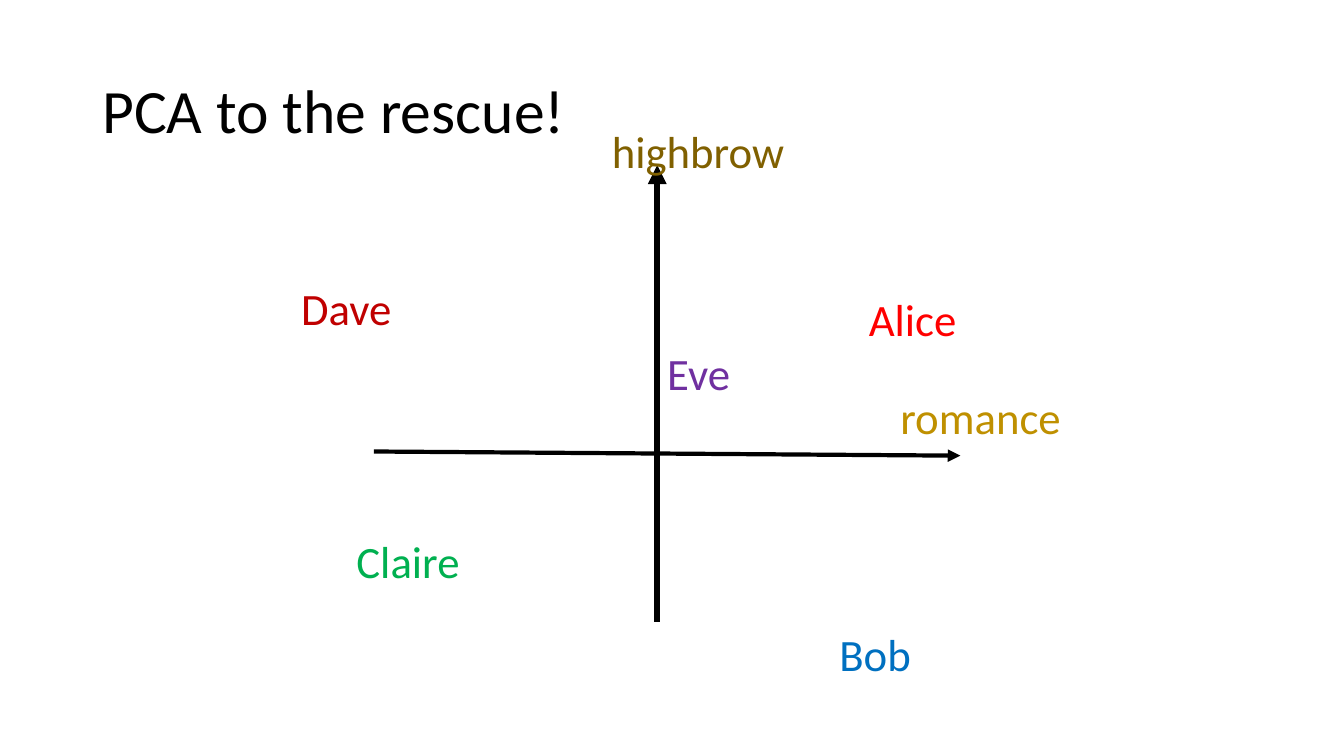
from typing import NamedTuple

from pptx import Presentation
from pptx.dml.color import RGBColor
from pptx.enum.shapes import MSO_CONNECTOR
from pptx.enum.text import MSO_ANCHOR, MSO_AUTO_SIZE
from pptx.oxml.ns import qn
from pptx.slide import Slide
from pptx.util import Pt
from lxml.etree import SubElement

FONT = "Calibri"
LABEL_SIZE = 32
LABEL_HEIGHT = 46

BLACK = RGBColor(0x00, 0x00, 0x00)
BROWN = RGBColor(0x80, 0x60, 0x00)
GOLD = RGBColor(0xBF, 0x90, 0x00)
RED = RGBColor(0xFF, 0x00, 0x00)
PURPLE = RGBColor(0x70, 0x30, 0xA0)
DARK_RED = RGBColor(0xC0, 0x00, 0x00)
GREEN = RGBColor(0x00, 0xB0, 0x50)
BLUE = RGBColor(0x00, 0x70, 0xC0)


class Axis(NamedTuple):
    start: tuple[float, float]
    end: tuple[float, float]
    weight: float


class Label(NamedTuple):
    text: str
    left: float
    top: float
    width: float
    color: RGBColor


AXES = [
    Axis((469.5, 444), (469.5, 118), 4.5),
    Axis((267, 322.5), (686, 325.5), 3),
]

LABELS = [
    Label("highbrow", 430, 85, 139, BROWN),
    Label("romance", 636, 275, 130, GOLD),
    Label("Alice", 613.5, 205, 78, RED),
    Label("Eve", 469.5, 243.5, 60, PURPLE),
    Label("Dave", 208, 197, 80, DARK_RED),
    Label("Claire", 247.5, 377.5, 89, GREEN),
    Label("Bob", 592.5, 444, 66, BLUE),
]


def add_title(slide: Slide, text: str) -> None:
    frame = slide.shapes.add_textbox(Pt(66), Pt(29), Pt(828), Pt(104)).text_frame
    frame.word_wrap = True
    frame.vertical_anchor = MSO_ANCHOR.MIDDLE
    title = frame.paragraphs[0]
    title.text = text
    title.line_spacing = 0.9
    title.font.name = FONT
    title.font.size = Pt(44)
    title.font.color.rgb = BLACK


def add_axis(slide: Slide, axis: Axis) -> None:
    arrow = slide.shapes.add_connector(
        MSO_CONNECTOR.STRAIGHT, *map(Pt, axis.start + axis.end)
    )
    arrow.line.color.rgb = BLACK
    arrow.line.width = Pt(axis.weight)
    SubElement(arrow.line._get_or_add_ln(), qn("a:tailEnd"), type="triangle")
    SubElement(arrow._element.spPr, qn("a:effectLst"))


def add_label(slide: Slide, label: Label) -> None:
    frame = slide.shapes.add_textbox(
        Pt(label.left), Pt(label.top), Pt(label.width), Pt(LABEL_HEIGHT)
    ).text_frame
    frame.word_wrap = False
    frame.auto_size = MSO_AUTO_SIZE.SHAPE_TO_FIT_TEXT
    word = frame.paragraphs[0]
    word.text = label.text
    word.font.name = FONT
    word.font.size = Pt(LABEL_SIZE)
    word.font.color.rgb = label.color


def main() -> None:
    deck = Presentation()
    deck.slide_width, deck.slide_height = Pt(960), Pt(540)
    slide = deck.slides.add_slide(deck.slide_layouts[6])
    add_title(slide, "PCA to the rescue!")
    for axis in AXES:
        add_axis(slide, axis)
    for label in LABELS:
        add_label(slide, label)
    deck.save("out.pptx")


if __name__ == "__main__":
    main()
